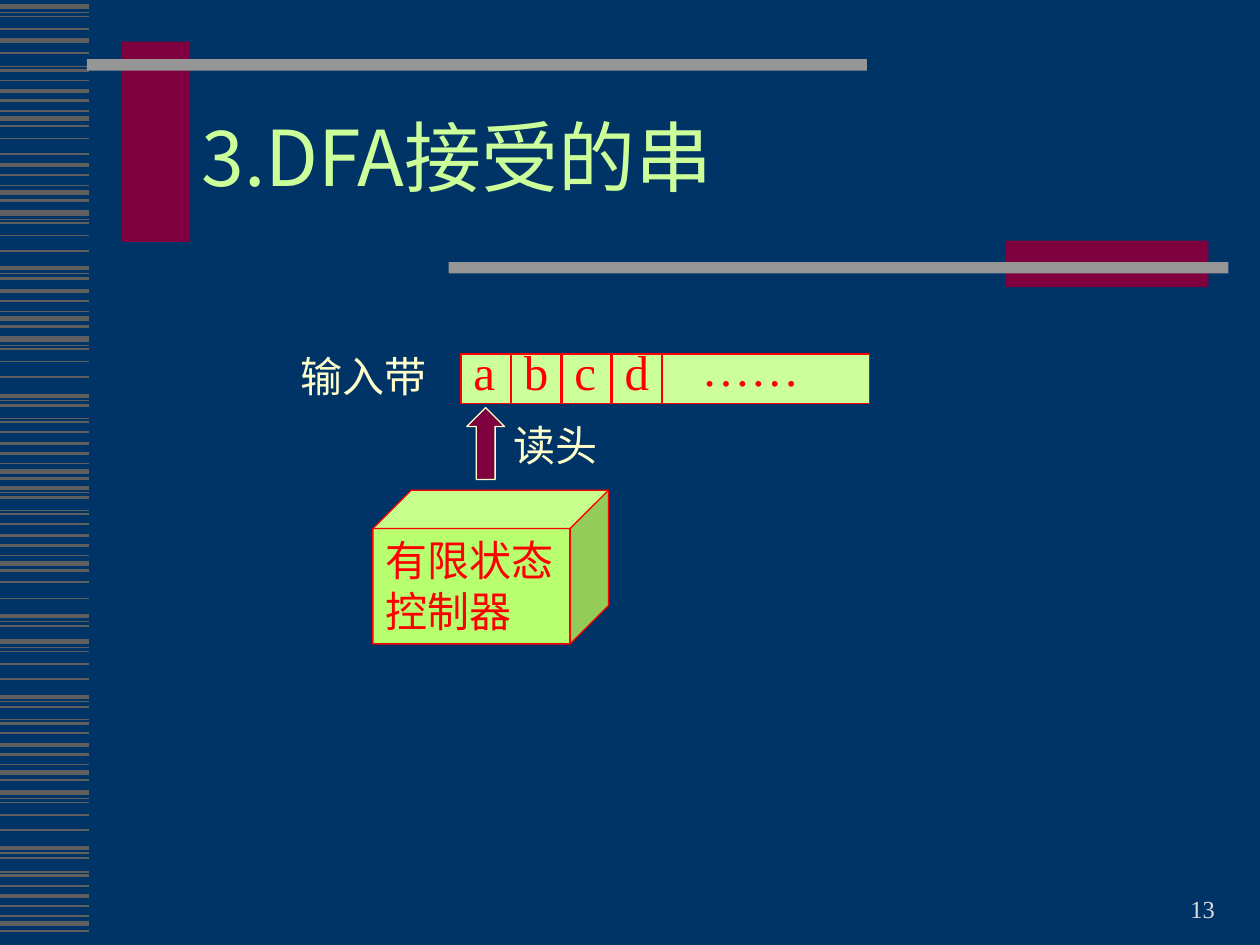
from lxml import etree
from pptx import Presentation
from pptx.dml.color import RGBColor
from pptx.enum.shapes import MSO_CONNECTOR, MSO_SHAPE
from pptx.enum.text import MSO_ANCHOR, PP_ALIGN
from pptx.oxml.ns import qn
from pptx.util import Inches, Pt

STRAIGHT = MSO_CONNECTOR.STRAIGHT
RECTANGLE = MSO_SHAPE.RECTANGLE
RIGHT_ARROW = MSO_SHAPE.RIGHT_ARROW
CUBE = MSO_SHAPE.CUBE
TOP, MIDDLE, BOTTOM = MSO_ANCHOR.TOP, MSO_ANCHOR.MIDDLE, MSO_ANCHOR.BOTTOM
LEFT, RIGHT = PP_ALIGN.LEFT, PP_ALIGN.RIGHT

NAVY = RGBColor(0x00, 0x33, 0x66)
STRIPE_GREY = RGBColor(0x5F, 0x5F, 0x5F)
BAR_GREY = RGBColor(0x96, 0x96, 0x96)
NUMBER_GREY = RGBColor(0xDD, 0xDD, 0xDD)
MAROON = RGBColor(0x7E, 0x00, 0x3F)
LIME = RGBColor(0xCC, 0xFF, 0x99)
CUBE_GREEN = RGBColor(0xB8, 0xFF, 0x70)
CREAM = RGBColor(0xFF, 0xFF, 0xCC)
RED = RGBColor(0xFF, 0x00, 0x00)

SERIF = "Times New Roman"
SANS = "Noto Sans CJK SC"

STRIPE_WIDTH = 0.71
STRIPE_MOTIFS = [
    ([(0, 3), (0.05, 0.75), (0.08, 1), (0.18, 1)], [0.05, 1.69, 2.69, 5.09, 6.29]),
    ([(0, 2.25), (0.04, 0.75), (0.08, 1.5)], [2.13, 3.14, 3.87, 4.89, 5.53, 6.73]),
    ([(0, 0.75), (0.03, 1.5), (0.11, 1)], [0.53, 3.32, 4.05, 5.71, 6.92]),
    ([(0, 2.25), (0.08, 1.5), (0.16, 0.75), (0.22, 3), (0.28, 1.5)],
     [0.72, 1.31, 2.31, 3.52, 4.25, 5.91, 7.11]),
    ([(0, 1)], [1.1, 1.22, 1.99, 2.99, 4.62, 4.75, 5.39, 6.59]),
    ([(0, 3), (0.1, 1.5)], [0.32]),
]

TAPE_LEFT, TAPE_TOP = 3.66, 2.81
CELL_SIZE, CELL_STEP = 0.39, 0.4
TAPE_SYMBOLS = "abcd"


def add_stripe(slide, top, weight):
    stripe = slide.shapes.add_connector(
        STRAIGHT, 0, Inches(top), Inches(STRIPE_WIDTH), Inches(top))
    stripe.line.color.rgb = STRIPE_GREY
    stripe.line.width = Pt(weight)
    etree.SubElement(stripe.element.spPr, qn("a:effectLst"))


def add_block(slide, kind, left, top, width, height, fill, outline=None):
    shape = slide.shapes.add_shape(
        kind, Inches(left), Inches(top), Inches(width), Inches(height))
    shape.shadow.inherit = False
    shape.fill.solid()
    shape.fill.fore_color.rgb = fill
    if outline is None:
        shape.line.fill.background()
    else:
        shape.line.color.rgb = outline
        shape.line.width = Pt(0.75)
    return shape


def write_text(shape, text, size, color, font=SERIF, align=LEFT, anchor=TOP,
               spacing=None, wrap=True):
    frame = shape.text_frame
    frame.word_wrap = wrap
    frame.vertical_anchor = anchor
    frame.text = text
    for paragraph in frame.paragraphs:
        paragraph.alignment = align
        paragraph.line_spacing = spacing
        for run in paragraph.runs:
            run.font.name = font
            run.font.size = Pt(size)
            run.font.color.rgb = color
            east_asian = etree.SubElement(run.font._element, qn("a:ea"))
            east_asian.set("typeface", SANS)


def add_label(slide, text, left, top, width, height, **text_format):
    box = slide.shapes.add_textbox(
        Inches(left), Inches(top), Inches(width), Inches(height))
    write_text(box, text, **text_format)


def add_decoration(slide):
    for motif, starts in STRIPE_MOTIFS:
        for start in starts:
            for offset, weight in motif:
                add_stripe(slide, start + offset, weight)
    add_block(slide, RECTANGLE, 0.97, 0.33, 0.54, 1.59, MAROON)
    add_block(slide, RECTANGLE, 0.69, 0.47, 6.19, 0.09, BAR_GREY)
    add_block(slide, RECTANGLE, 7.98, 1.91, 1.61, 0.37, MAROON)
    add_block(slide, RECTANGLE, 3.56, 2.08, 6.19, 0.09, BAR_GREY)


def add_tape(slide):
    for column, symbol in enumerate(TAPE_SYMBOLS):
        left = TAPE_LEFT + column * CELL_STEP
        add_block(slide, RECTANGLE, left, TAPE_TOP, CELL_SIZE, CELL_SIZE, LIME, RED)
        add_label(slide, symbol, left, TAPE_TOP - 0.15, 0.47, 0.57, size=28, color=RED)
    rest_left = TAPE_LEFT + len(TAPE_SYMBOLS) * CELL_STEP
    add_block(slide, RECTANGLE, rest_left, TAPE_TOP, 1.64, CELL_SIZE, LIME, RED)
    add_label(slide, "……", rest_left + 0.21, TAPE_TOP - 0.18, 1.97, 0.57,
              size=28, color=RED)
    add_label(slide, "输入带", 2.29, 2.73, 1.5, 0.5, size=24, color=CREAM)


def add_controller(slide):
    read_head = add_block(slide, RIGHT_ARROW, 3.57, 3.37, 0.57, 0.3, MAROON, CREAM)
    read_head.rotation = 270
    add_label(slide, "读头", 3.98, 3.28, 1.5, 0.5, size=24, color=CREAM)
    cube = add_block(slide, CUBE, 2.96, 3.89, 1.87, 1.22, CUBE_GREEN, RED)
    write_text(cube, "有限状态\n控制器", size=24, color=RED, wrap=False)


def main():
    presentation = Presentation()
    presentation.slide_width = Inches(10)
    presentation.slide_height = Inches(7.5)
    slide = presentation.slides.add_slide(presentation.slide_layouts[6])
    slide.background.fill.solid()
    slide.background.fill.fore_color.rgb = NAVY
    add_decoration(slide)
    add_label(slide, "13", 7.34, 6.88, 2.4, 0.5, size=14, color=NUMBER_GREY,
              align=RIGHT, anchor=BOTTOM)
    add_label(slide, "3.DFA接受的串", 1.5, 0.67, 8.07, 1.25, size=44, color=LIME,
              font=SANS, anchor=MIDDLE, spacing=0.85)
    add_tape(slide)
    add_controller(slide)
    presentation.save("out.pptx")


if __name__ == "__main__":
    main()
